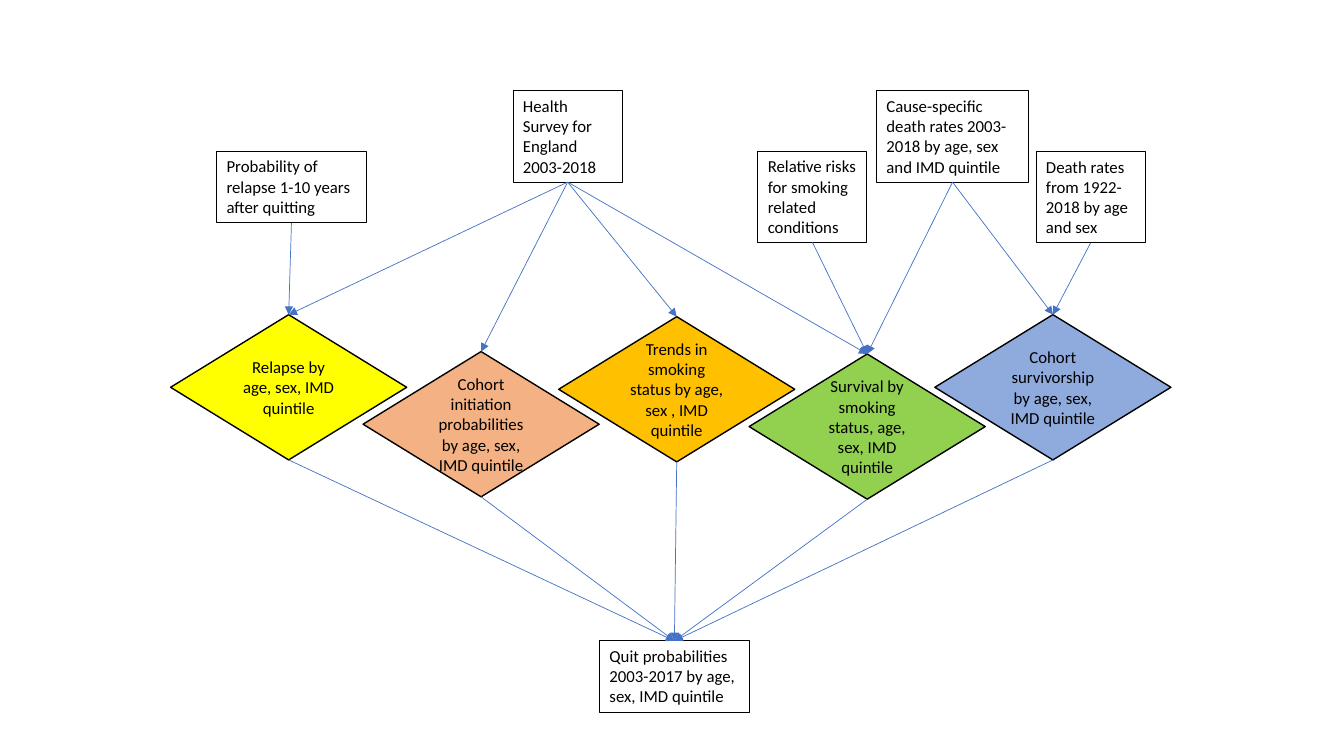
from lxml import etree
from pptx import Presentation
from pptx.dml.color import RGBColor
from pptx.enum.shapes import MSO_CONNECTOR, MSO_SHAPE
from pptx.enum.text import MSO_ANCHOR, MSO_AUTO_SIZE, PP_ALIGN
from pptx.oxml.ns import qn
from pptx.util import Cm, Pt

RECTANGLE, DIAMOND = MSO_SHAPE.RECTANGLE, MSO_SHAPE.DIAMOND
STRAIGHT = MSO_CONNECTOR.STRAIGHT
LEFT, CENTER = PP_ALIGN.LEFT, PP_ALIGN.CENTER
TOP, MIDDLE = MSO_ANCHOR.TOP, MSO_ANCHOR.MIDDLE
GROW, FIXED = MSO_AUTO_SIZE.SHAPE_TO_FIT_TEXT, MSO_AUTO_SIZE.NONE
TOP_SITE, BOTTOM_SITE = 0, 2
BLACK, ARROW_BLUE = "000000", "4472C4"
DIAMOND_SIZE = (5.95, 3.66)
SHORT, TALL = 1.81, 2.3

# key: (left, top, width, height in cm from the region's corner, text)
SOURCES = {
    "relapse odds": (0, 1.52, 3.77, SHORT, "Probability of relapse 1-10 years after quitting"),
    "survey": (7.47, 0, 2.75, TALL, "Health Survey for England 2003-2018"),
    "risks": (13.64, 1.52, 2.75, TALL, "Relative risks for smoking related conditions"),
    "causes": (16.63, 0, 3.83, TALL,
               "Cause-specific death rates 2003-2018 by age, sex and IMD quintile"),
    "deaths": (20.65, 1.53, 2.75, TALL, "Death rates from 1922-2018 by age and sex"),
}
# key: (left, top in cm from the region's corner, fill, text)
ESTIMATES = {
    "relapse": (0, 0, "FFFF00", "Relapse by age, sex, IMD quintile"),
    "initiation": (4.85, 0.93, "F4B183",
                   "Cohort initiation probabilities by age, sex, IMD quintile"),
    "trends": (9.78, 0.05, "FFC000", "Trends in smoking status by age, sex , IMD quintile"),
    "survival": (14.58, 0.99, "92D050", "Survival by smoking status, age, sex, IMD quintile"),
    "survivorship": (19.26, 0, "8FAADC", "Cohort survivorship by age, sex, IMD quintile"),
}
FEEDS = {
    "relapse odds": ["relapse"],
    "survey": ["relapse", "initiation", "trends", "survival"],
    "risks": ["survival"],
    "causes": ["survival", "survivorship"],
    "deaths": ["survivorship"],
}


def colour(hex_code):
    """Turn a hex string into a colour."""
    return RGBColor.from_string(hex_code)


def write(shape, text, size=12, font="Calibri", ink=BLACK, align=LEFT, anchor=TOP, fit=FIXED):
    """Put formatted, wrapped text into a shape."""
    frame = shape.text_frame
    frame.word_wrap = True
    frame.auto_size = fit
    frame.vertical_anchor = anchor
    paragraph = frame.paragraphs[0]
    paragraph.alignment = align
    run = paragraph.add_run()
    run.text = text
    run.font.size, run.font.name = Pt(size), font
    run.font.color.rgb = colour(ink)


def add_node(slide, kind, box, text, fill=None, outline=0.75, **text_format):
    """Add one outlined flowchart node; box is in cm."""
    node = slide.shapes.add_shape(kind, *map(Cm, box))
    node.shadow.inherit = False
    if fill:
        node.fill.solid()
        node.fill.fore_color.rgb = colour(fill)
    else:
        node.fill.background()
    node.line.color.rgb = colour(BLACK)
    node.line.width = Pt(outline)
    write(node, text, **text_format)
    return node


def add_arrow(slide, upper, lower):
    """Join the bottom of one node to the top of another."""
    arrow = slide.shapes.add_connector(STRAIGHT, 0, 0, 0, 0)
    arrow.begin_connect(upper, BOTTOM_SITE)
    arrow.end_connect(lower, TOP_SITE)
    arrow.line.color.rgb = colour(ARROW_BLUE)
    arrow.line.width = Pt(0.5)
    etree.SubElement(arrow.line._get_or_add_ln(), qn("a:tailEnd"), type="triangle")
    etree.SubElement(arrow._element.spPr, qn("a:effectLst"))


def add_sources(slide, left, top):
    """Place the data source boxes and return them by key."""
    return {key: add_node(slide, RECTANGLE, (left + x, top + y, width, height), text, fit=GROW)
            for key, (x, y, width, height, text) in SOURCES.items()}


def add_estimates(slide, left, top):
    """Place the coloured estimate diamonds and return them by key."""
    return {key: add_node(slide, DIAMOND, (left + x, top + y, *DIAMOND_SIZE), text, fill=fill,
                          outline=1, align=CENTER, anchor=MIDDLE)
            for key, (x, y, fill, text) in ESTIMATES.items()}


def add_result(slide, left, top):
    """Place the box for the final result."""
    return add_node(slide, RECTANGLE, (left, top, 3.77, SHORT),
                    "Quit probabilities 2003-2017 by age, sex, IMD quintile", fit=GROW)


def build_flowchart(slide):
    """Lay out the three tiers and link them."""
    sources = add_sources(slide, 5.46, 2.29)
    estimates = add_estimates(slide, 4.3, 7.93)
    result = add_result(slide, 15.11, 16.15)
    for source, targets in FEEDS.items():
        for target in targets:
            add_arrow(slide, sources[source], estimates[target])
    for estimate in estimates.values():
        add_arrow(slide, estimate, result)


deck = Presentation()
deck.slide_width, deck.slide_height = Cm(33.87), Cm(19.05)
blank_layout = deck.slide_layouts[6]
build_flowchart(deck.slides.add_slide(blank_layout))
deck.save("out.pptx")
